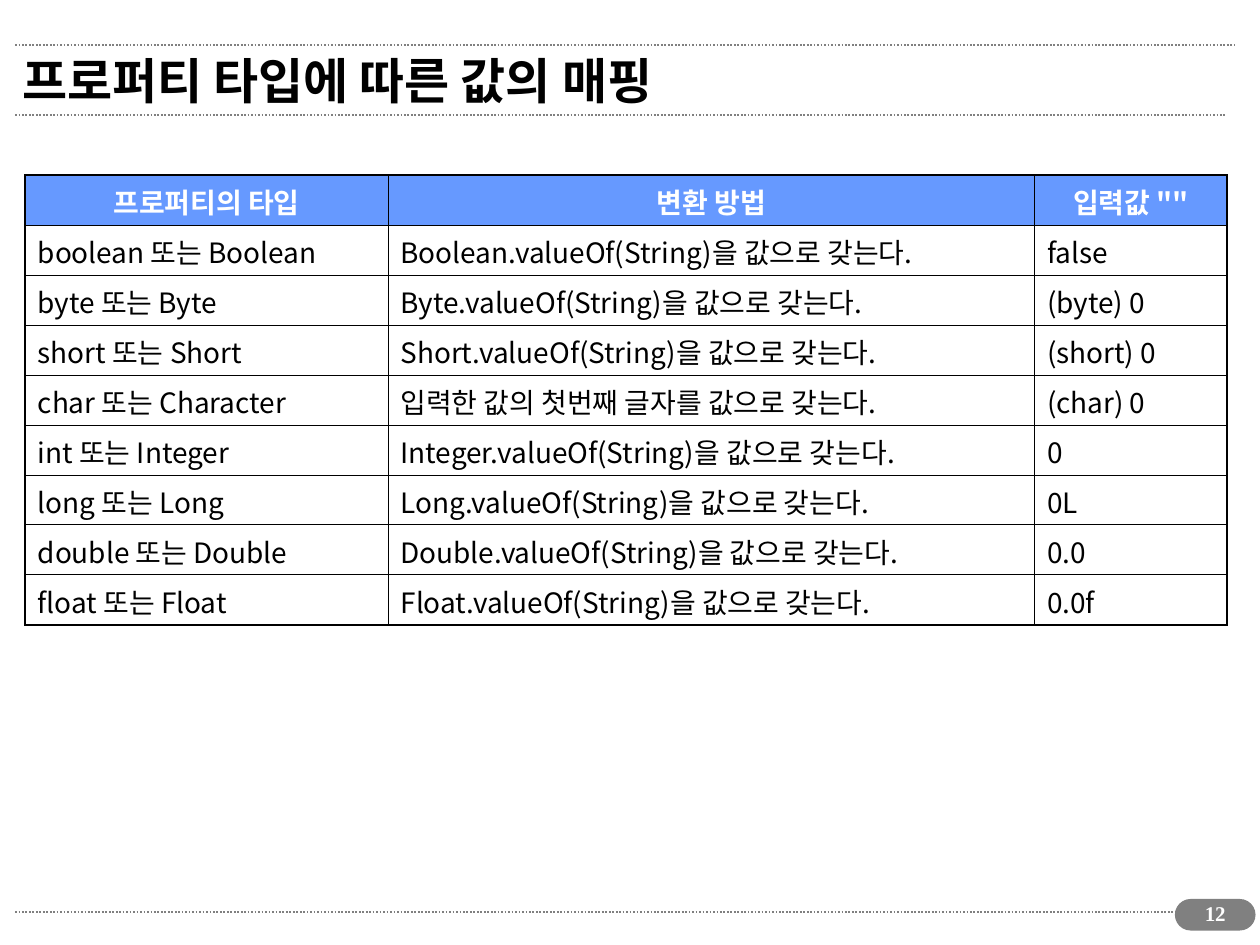
import pptx
import pptx.dml.color
import pptx.enum.dml
import pptx.enum.shapes
import pptx.enum.text
import pptx.oxml
import pptx.oxml.ns
import pptx.util

BLACK = pptx.dml.color.RGBColor(0x00, 0x00, 0x00)
WHITE = pptx.dml.color.RGBColor(0xFF, 0xFF, 0xFF)
GRAY = pptx.dml.color.RGBColor(0x80, 0x80, 0x80)
BLUE = pptx.dml.color.RGBColor(0x66, 0x99, 0xFF)
KOREAN = "Noto Sans CJK KR"
CENTER = pptx.enum.text.PP_ALIGN.CENTER
LEFT = pptx.enum.text.PP_ALIGN.LEFT
MIDDLE = pptx.enum.text.MSO_ANCHOR.MIDDLE
TOP = pptx.enum.text.MSO_ANCHOR.TOP
COLUMNS, ROWS = 100, 75
THICK, THIN = 1.08, 0.45


def grid(*steps):
    """Turn steps of the 100 by 75 slide grid into lengths."""
    return [pptx.util.Inches(step / 10) for step in steps]


def write(frame, text, size=16, font=KOREAN, color=BLACK, bold=False, align=LEFT):
    """Put one formatted paragraph into a text frame."""
    para = frame.paragraphs[0]
    para.alignment = align
    span = para.add_run()
    span.text = text
    span.font.size = pptx.util.Pt(size)
    span.font.bold = bold
    span.font.color.rgb = color
    span.font.name = font
    east_asian = pptx.oxml.parse_xml(
        f'<a:ea {pptx.oxml.ns.nsdecls("a")} typeface="{font}"/>')
    span.font._element.append(east_asian)


deck = pptx.Presentation()
deck.slide_width, deck.slide_height = grid(COLUMNS, ROWS)
page = deck.slides.add_slide(deck.slide_layouts[6])

# Dotted rules
for right, row in ((97.3, 72.4), (97.2, 9.1), (98, 3.6)):
    rule = page.shapes.add_connector(
        pptx.enum.shapes.MSO_CONNECTOR.STRAIGHT, *grid(1.2, row, right, row))
    rule.line.color.rgb = GRAY
    rule.line.width = pptx.util.Pt(0.99)
    rule.line.dash_style = pptx.enum.dml.MSO_LINE.ROUND_DOT
    rule._element.spPr.append(pptx.oxml.parse_xml(
        f'<a:effectLst {pptx.oxml.ns.nsdecls("a")}/>'))

# Page number badge
badge = page.shapes.add_shape(
    pptx.enum.shapes.MSO_SHAPE.ROUNDED_RECTANGLE, *grid(93.3, 71.4, 6.3, 2.4))
badge.adjustments[0] = 0.5
badge.shadow.inherit = False
badge.fill.solid()
badge.fill.fore_color.rgb = GRAY
badge.line.color.rgb = GRAY
badge.line.width = pptx.util.Pt(0.74)

# Title and page number
labels = [
    ("프로퍼티 타입에 따른 값의 매핑", (0.8, 2.8, 91, 7.1), MIDDLE,
     dict(size=28, bold=True)),
    ("12", (93.7, 71, 5.5, 3.4), TOP,
     dict(size=12, font="Times New Roman", color=WHITE, bold=True, align=CENTER)),
]
for text, place, anchor, style in labels:
    box = page.shapes.add_textbox(*grid(*place))
    box.text_frame.word_wrap = True
    box.text_frame.vertical_anchor = anchor
    write(box.text_frame, text, **style)

# Mapping table
types = [
    ("boolean", "Boolean", "false"),
    ("byte", "Byte", "(byte) 0"),
    ("short", "Short", "(short) 0"),
    ("char", "Character", "(char) 0"),
    ("int", "Integer", "0"),
    ("long", "Long", "0L"),
    ("double", "Double", "0.0"),
    ("float", "Float", "0.0f"),
]
records = [("프로퍼티의 타입", "변환 방법", '입력값 ""')]
for primitive, wrapper, empty_value in types:
    source = "입력한 값의 첫번째 글자를" if primitive == "char" else f"{wrapper}.valueOf(String)을"
    records.append((f"{primitive} 또는 {wrapper}", f"{source} 값으로 갖는다.", empty_value))

widths = grid(28.8, 51.3, 15.3)
last_row, last_column = len(records) - 1, len(widths) - 1
table = page.shapes.add_table(
    len(records), len(widths), *grid(2, 13.9, 95.3, 35.7)).table
table.first_row = False
table.horz_banding = False
for column, width in zip(table.columns, widths):
    column.width = width

for row, record in enumerate(records):
    for column, text in enumerate(record):
        cell = table.cell(row, column)
        outer_edges = {"L": column == 0, "R": column == last_column,
                       "T": row == 0, "B": row == last_row}
        properties = cell._tc.get_or_add_tcPr()
        for side, outer in outer_edges.items():
            weight = pptx.util.Pt(THICK if outer else THIN)
            properties.append(pptx.oxml.parse_xml(
                f'<a:ln{side} {pptx.oxml.ns.nsdecls("a")} w="{weight}"><a:solidFill>'
                f'<a:srgbClr val="{BLACK}"/></a:solidFill></a:ln{side}>'))
        if row == 0:
            cell.fill.solid()
            cell.fill.fore_color.rgb = BLUE
            write(cell.text_frame, text, color=WHITE, bold=True, align=CENTER)
        else:
            cell.fill.background()
            write(cell.text_frame, text)

deck.save("out.pptx")
